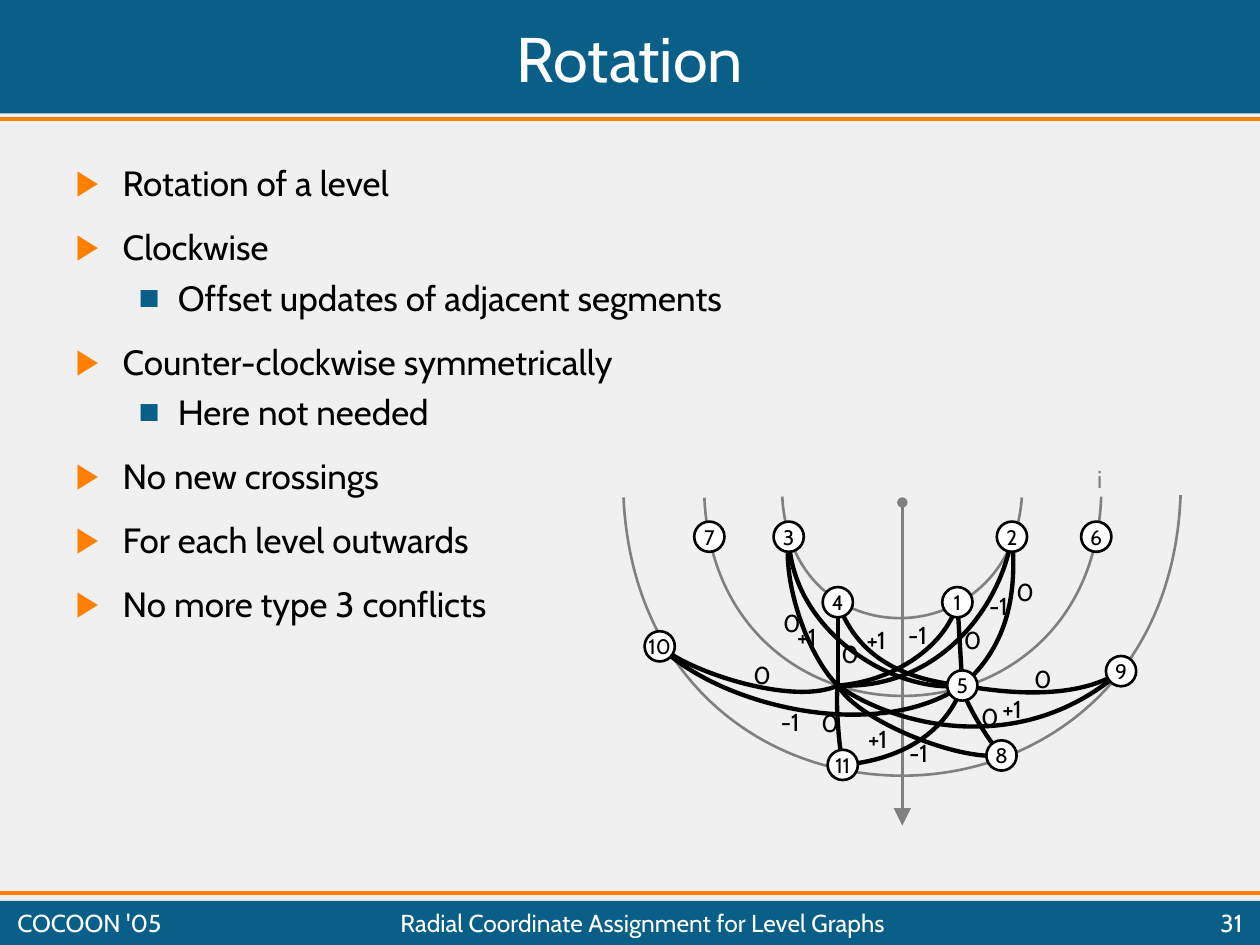
from lxml import etree
from pptx import Presentation
from pptx import util as u
from pptx.dml import color
from pptx.enum import shapes, text
from pptx.oxml import ns

Cm, Pt = u.Cm, u.Pt
paint = color.RGBColor.from_string
BLUE, ORANGE, GREY, BLACK, WHITE = "0A5F89", "FF7F00", "808080", "000000", "FFFFFF"
LEFT, CENTER, RIGHT = text.PP_ALIGN.LEFT, text.PP_ALIGN.CENTER, text.PP_ALIGN.RIGHT


def write(box, words, size, ink, align=LEFT, anchor=text.MSO_ANCHOR.MIDDLE, wrap=True):
    """Fill a box with text and format every paragraph alike."""
    frame = box.text_frame
    frame.text = words
    frame.word_wrap = wrap
    frame.auto_size = text.MSO_AUTO_SIZE.NONE
    frame.vertical_anchor = anchor
    for para in frame.paragraphs:
        para.alignment = align
        for span in para.runs:
            span.font.name = "Cabin"
            span.font.size = Pt(size)
            span.font.color.rgb = paint(ink)


def draw_curve(start, bend1, bend2, end, ink, width):
    """Draw one cubic Bézier segment, framed by its true extent; points are in centimetres."""
    corners = [tuple(Cm(value) for value in point) for point in (start, bend1, bend2, end)]
    builder = page.shapes.build_freeform(*corners[0])
    builder.add_line_segments(corners[1:], close=False)
    curve = builder.convert_to_shape()
    curve.shadow.inherit = False
    curve.fill.background()
    curve.line.color.rgb = paint(ink)
    curve.line.width = Pt(width)

    extents = []
    for a, b, c, d in zip(*corners):
        values = [(1 - t) ** 3 * a + 3 * t * (1 - t) ** 2 * b + 3 * t * t * (1 - t) * c + t ** 3 * d
                  for t in (step / 100 for step in range(101))]
        extents.append((round(min(values)), round(max(values))))
    (left, right), (top, bottom) = extents
    curve.left, curve.top, curve.width, curve.height = left, top, right - left, bottom - top

    outline = curve._element.find(".//" + ns.qn("a:path"))
    outline.set("w", str(right - left))
    outline.set("h", str(bottom - top))
    for part in list(outline)[1:]:
        outline.remove(part)
    bezier = etree.SubElement(outline, ns.qn("a:cubicBezTo"))
    for _ in corners[1:]:
        etree.SubElement(bezier, ns.qn("a:pt"))
    for point, (x, y) in zip(outline.iter(ns.qn("a:pt")), corners):
        point.set("x", str(x - left))
        point.set("y", str(y - top))


deck = Presentation()
deck.slide_width, deck.slide_height = Cm(25.4), Cm(19.05)
page = deck.slides.add_slide(deck.slide_layouts[1])
page.background.fill.solid()
page.background.fill.fore_color.rgb = paint("F0F0F0")

# Header and footer bands, behind the placeholders
for top, height in ((0, 2.29), (18.16, 0.89)):
    band = page.shapes.add_shape(shapes.MSO_SHAPE.RECTANGLE, 0, Cm(top), Cm(25.4), Cm(height))
    band.shadow.inherit = False
    band.fill.solid()
    band.fill.fore_color.rgb = paint(BLUE)
    band.line.fill.background()
    page.shapes._spTree.insert(2, band._element)

title, body = page.placeholders
title.left, title.top, title.width, title.height = Cm(0.1), Cm(0.1), Cm(25.2), Cm(2.11)
write(title, "Rotation", 36, WHITE, CENTER)

# Bullet list
items = [
    (0, "Rotation of a level"),
    (0, "Clockwise"),
    (1, "Offset updates of adjacent segments"),
    (0, "Counter-clockwise symmetrically"),
    (1, "Here not needed"),
    (0, "No new crossings"),
    (0, "For each level outwards"),
    (0, "No more type 3 conflicts"),
]
# Per level: left margin, hanging indent, space before, bullet, bullet colour
levels = [(0.95, 0.95, 12.5, "▶", ORANGE), (2.06, 0.79, 5, "■", BLUE)]
body.left, body.top, body.width, body.height = Cm(1.27), Cm(3.13), Cm(14.43), Cm(14.4)
write(body, "\n".join(words for _, words in items), 20, BLACK, anchor=text.MSO_ANCHOR.TOP)
for number, (para, (level, _)) in enumerate(zip(body.text_frame.paragraphs, items)):
    margin, hang, space, bullet, ink = levels[level]
    para.level = level
    properties = para._p.get_or_add_pPr()
    properties.set("marL", str(Cm(margin)))
    properties.set("indent", str(-Cm(hang)))
    bullet_color = etree.SubElement(properties, ns.qn("a:buClr"))
    etree.SubElement(bullet_color, ns.qn("a:srgbClr"), val=ink)
    etree.SubElement(properties, ns.qn("a:buChar"), char=bullet)
    para.space_before = Pt(space if number else 0)

# Level rings
rings = [
    ((15.77, 10.01), (15.95, 13.34), (20.37, 13.21), (20.6, 10.03)),
    ((14.2, 10.03), (14.45, 15.39), (22, 15.34), (22.2, 10.01)),
    ((12.57, 10.03), (12.93, 17.55), (23.52, 17.48), (23.8, 9.98)),
]
for ring in rings:
    draw_curve(*ring, GREY, 1.5)

# Graph vertices by label; "dummy" is a bend point without a circle
vertices = {
    "1": (19.3, 12.14), "2": (20.4, 10.82), "3": (15.9, 10.82), "4": (16.89, 12.14),
    "5": (19.4, 13.82), "6": (22.1, 10.82), "7": (14.3, 10.82), "8": (20.19, 15.23),
    "9": (22.6, 13.53), "10": (13.3, 13.03), "11": (16.99, 15.42),
    "dummy": (16.89, 13.82),
}

# Rules, ray and straight edges
lines = [
    ((0, 2.39), (25.4, 2.39), ORANGE, 2.25),
    ((0, 18.01), (25.4, 18.01), ORANGE, 2.25),
    (vertices["5"], vertices["1"], BLACK, 2.5),
    (vertices["dummy"], vertices["4"], BLACK, 2.5),
    ((18.19, 10.13), (18.19, 16.64), GREY, 1.5),
]
for start, end, ink, width in lines:
    line = page.shapes.add_connector(shapes.MSO_CONNECTOR.STRAIGHT,
                                     *[Cm(value) for value in start + end])
    line.line.color.rgb = paint(ink)
    line.line.width = Pt(width)
    etree.SubElement(line._element.spPr, ns.qn("a:effectLst"))
ray = line
for tag, kind, size in (("a:headEnd", "oval", "med"), ("a:tailEnd", "triangle", "lg")):
    etree.SubElement(ray.line._get_or_add_ln(), ns.qn(tag), type=kind, w=size, len=size)

# Curved edges
edges = [
    ("5", (20.35, 13), (20.5, 11.91), "2"),
    ("9", (21.79, 14.07), (20.5, 14.02), "5"),
    ("5", (19.1, 14.73), (18.21, 15.32), "11"),
    ("5", (18.11, 13.69), (17.25, 13.18), "4"),
    ("5", (18.06, 14), (15.95, 12.75), "3"),
    ("5", (17.68, 14.99), (14.55, 14.25), "10"),
    ("5", (19.41, 14.12), (19.94, 14.94), "8"),
    ("11", (16.92, 15.09), (16.84, 14.17), "dummy"),
    ("8", (19.3, 15.34), (17.3, 14.53), "dummy"),
    ("9", (20.7, 15.21), (18.19, 14.73), "dummy"),
    ("10", (14.02, 13.61), (16.05, 14.22), "dummy"),
    ("3", (15.77, 11.79), (16.31, 13.26), "dummy"),
    ("dummy", (18.03, 13.74), (19.1, 13), "1"),
    ("dummy", (18.9, 13.92), (20.17, 12.27), "2"),
]
for source, bend1, bend2, target in edges:
    draw_curve(vertices[source], bend1, bend2, vertices[target], BLACK, 2.5)

diameter = 0.61
for label, (x, y) in vertices.items():
    if label == "dummy":
        continue
    circle = page.shapes.add_shape(shapes.MSO_SHAPE.OVAL, Cm(x - diameter / 2),
                                   Cm(y - diameter / 2), Cm(diameter), Cm(diameter))
    circle.shadow.inherit = False
    circle.fill.solid()
    circle.fill.fore_color.rgb = paint(WHITE)
    circle.line.color.rgb = paint(BLACK)
    circle.line.width = Pt(1.5)
    write(circle, label, 12, BLACK, CENTER, wrap=False)

# Edge offsets and the level name: text, box width, colour, places
offsets = [
    ("0", 0.79, BLACK, [(20.24, 11.51), (20.6, 13.26), (19.18, 12.47), (19.53, 14.02),
                        (14.94, 13.18), (16.31, 14.15), (15.54, 12.14), (16.71, 12.75)]),
    ("+1", 1.07, BLACK, [(17.22, 12.47), (15.82, 12.42), (17.25, 14.48), (19.96, 13.87)]),
    ("-1", 0.94, BLACK, [(15.49, 14.12), (18.08, 14.76), (18.06, 12.37), (19.69, 11.79)]),
    ("i", 0.64, GREY, [(21.87, 9.22)]),
]
for words, width, ink, places in offsets:
    for x, y in places:
        box = page.shapes.add_textbox(Cm(x), Cm(y), Cm(width), Cm(0.86))
        write(box, words, 14, ink, anchor=text.MSO_ANCHOR.TOP, wrap=False)

# Footer
footer = [
    ("COCOON '05", 0.1, 3.66, LEFT),
    ("Radial Coordinate Assignment for Level Graphs", 3.81, 18.29, CENTER),
    ("31", 22.3, 3, RIGHT),
]
for words, left, width, align in footer:
    box = page.shapes.add_textbox(Cm(left), Cm(18.25), Cm(width), Cm(0.71))
    write(box, words, 14, WHITE, align)

deck.save("out.pptx")
